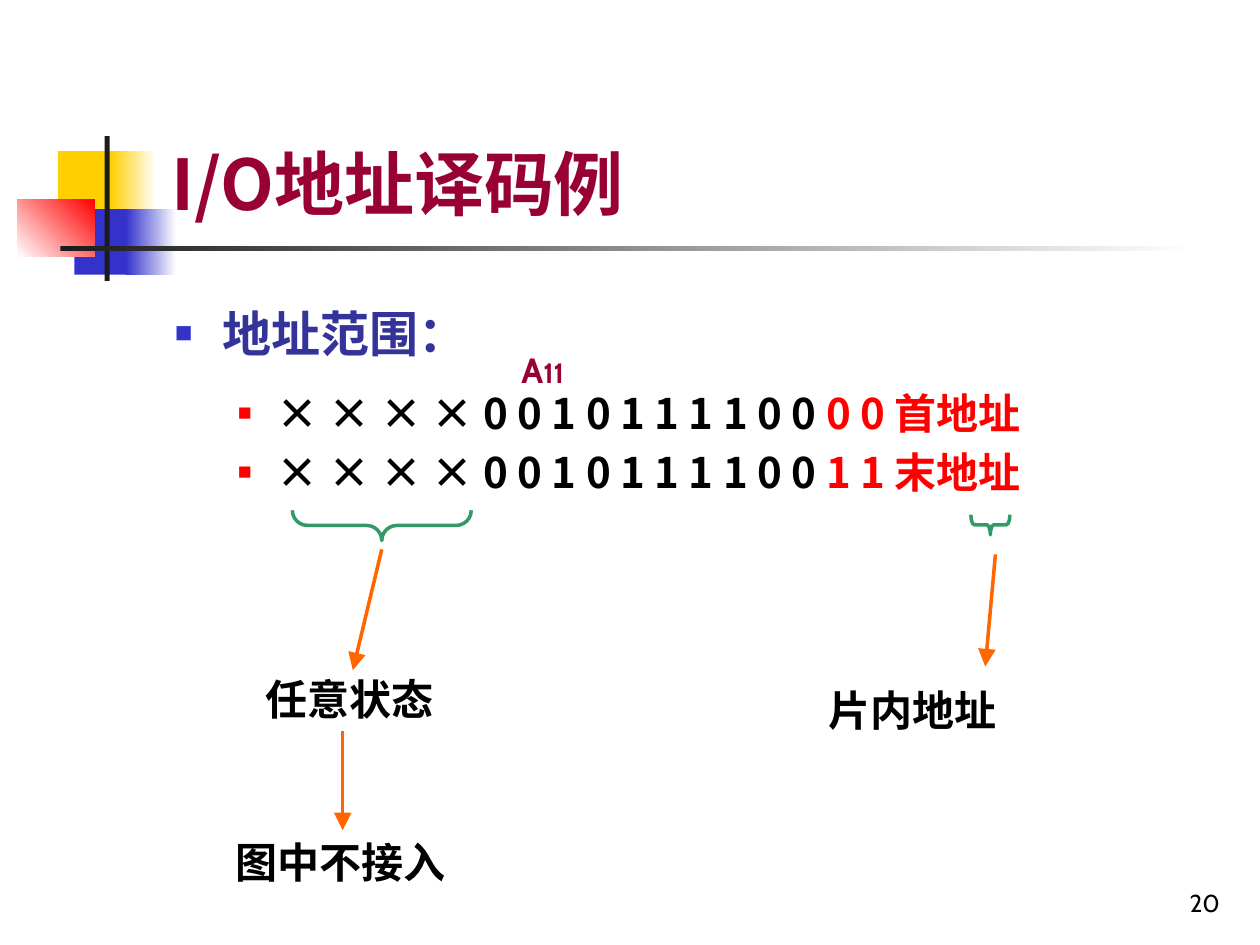
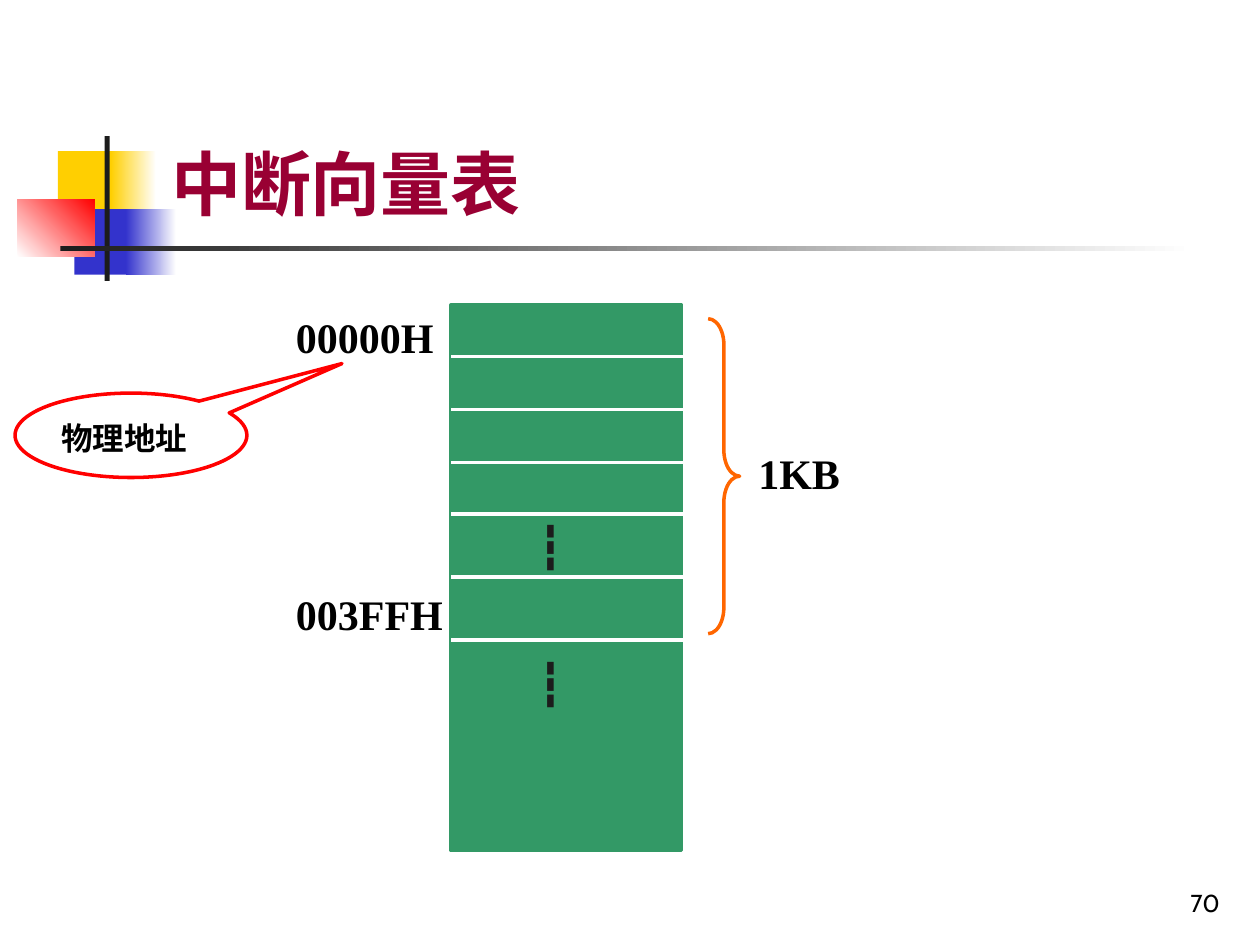
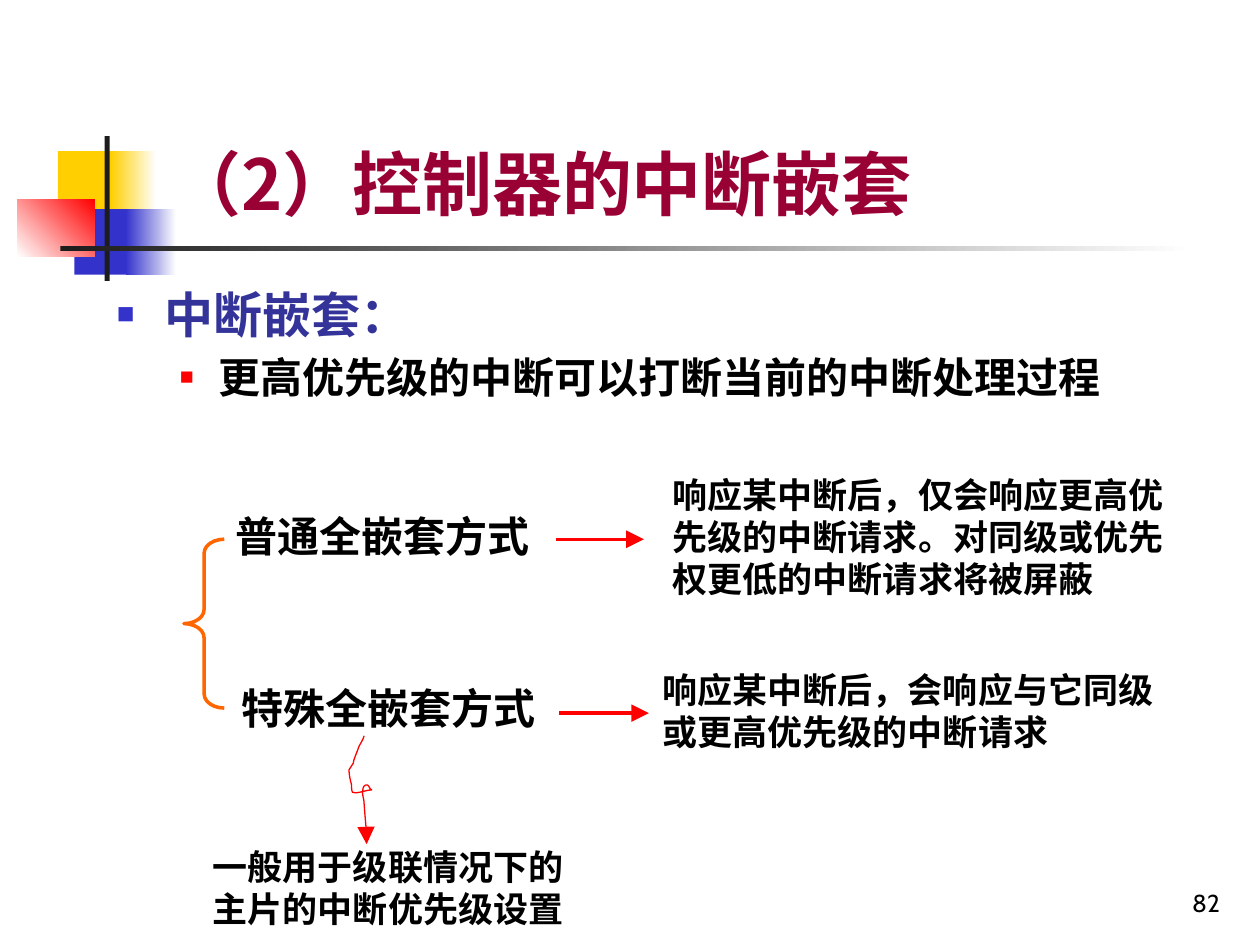
from itertools import accumulate
from typing import NamedTuple, Optional

from lxml import etree
from pptx import Presentation
from pptx.dml.color import RGBColor
from pptx.enum.shapes import MSO_CONNECTOR, MSO_SHAPE
from pptx.enum.text import MSO_ANCHOR, PP_ALIGN
from pptx.oxml.ns import qn
from pptx.util import Inches, Pt

BLACK = RGBColor(0x00, 0x00, 0x00)
WHITE = RGBColor(0xFF, 0xFF, 0xFF)
CHARCOAL = RGBColor(0x1C, 0x1C, 0x1C)
YELLOW = RGBColor(0xFF, 0xCF, 0x01)
BLUE = RGBColor(0x33, 0x33, 0xCC)
NAVY = RGBColor(0x33, 0x33, 0x99)
RED = RGBColor(0xFF, 0x00, 0x00)
MAROON = RGBColor(0x99, 0x00, 0x33)
GREEN = RGBColor(0x33, 0x99, 0x66)
ORANGE = RGBColor(0xFF, 0x66, 0x00)

CJK = "Noto Sans CJK SC"
SERIF = "Times New Roman"
SANS = "Cabin"
LEADING = 1.2


class Block(NamedTuple):
    left: float
    top: float
    width: float
    height: float
    color: RGBColor
    fade_to: Optional[RGBColor] = None
    angle: int = 0


class Run(NamedTuple):
    text: str
    size: int = 24
    color: RGBColor = BLACK
    font: str = CJK
    bold: bool = True


class Bullet(NamedTuple):
    level: int
    color: RGBColor
    percent: int
    margin: float
    hanging: float


class Para(NamedTuple):
    runs: list[Run]
    bullet: Optional[Bullet] = None
    before: float = 0
    after: float = 0
    align: Optional[PP_ALIGN] = None
    leading: float = LEADING


class Label(NamedTuple):
    left: float
    top: float
    width: float
    height: float
    run: Run
    anchor: MSO_ANCHOR = MSO_ANCHOR.TOP


class Line(NamedTuple):
    x1: float
    y1: float
    x2: float
    y2: float
    color: RGBColor
    arrow: bool = True


class Brace(NamedTuple):
    kind: MSO_SHAPE
    left: float
    top: float
    width: float
    height: float
    curl: float
    color: RGBColor
    rotation: int = 0


ORNAMENT = [
    Block(0.46, 1.2, 0.48, 0.52, YELLOW),
    Block(0.88, 1.2, 0.36, 0.52, YELLOW, WHITE),
    Block(0.59, 1.66, 0.46, 0.52, BLUE),
    Block(1, 1.66, 0.4, 0.52, BLUE, WHITE),
    Block(0.14, 1.58, 0.61, 0.46, WHITE, RED, 45),
    Block(0.83, 1.08, 0.04, 1.15, CHARCOAL),
    Block(0.48, 1.95, 9, 0.04, CHARCOAL, WHITE),
]
TOPIC_BULLET = Bullet(0, BLUE, 60, 0.38, 0.38)
POINT_BULLET = Bullet(1, RED, 55, 0.81, 0.31)


def box(left: float, top: float, width: float, height: float) -> list[Inches]:
    return [Inches(side) for side in (left, top, width, height)]


def add_block(slide, block: Block):
    shape = slide.shapes.add_shape(MSO_SHAPE.RECTANGLE, *box(*block[:4]))
    shape.shadow.inherit = False
    shape.line.fill.background()
    if block.fade_to is None:
        shape.fill.solid()
        shape.fill.fore_color.rgb = block.color
    else:
        shape.fill.gradient()
        shape.fill.gradient_angle = block.angle
        for stop, color in zip(shape.fill.gradient_stops, (block.color, block.fade_to)):
            stop.color.rgb = color
    return shape


def add_outline(shape, color: RGBColor, width: float = 2) -> None:
    """Leave the shape unfilled with a plain coloured outline."""
    shape.shadow.inherit = False
    shape.fill.background()
    shape.line.color.rgb = color
    shape.line.width = Pt(width)


def add_arrowhead(shape) -> None:
    outline = shape.element.spPr.find(qn("a:ln"))
    etree.SubElement(outline, qn("a:tailEnd"), type="triangle", w="lg", len="lg")


def add_bullet(paragraph, bullet: Bullet) -> None:
    paragraph.level = bullet.level
    props = paragraph._p.get_or_add_pPr()
    props.set("marL", str(Inches(bullet.margin)))
    props.set("indent", str(-Inches(bullet.hanging)))
    color = etree.SubElement(props, qn("a:buClr"))
    etree.SubElement(color, qn("a:srgbClr"), val=str(bullet.color))
    etree.SubElement(props, qn("a:buSzPct"), val=str(bullet.percent * 1000))
    etree.SubElement(props, qn("a:buFont"), typeface=SERIF)
    etree.SubElement(props, qn("a:buChar"), char="■")


def add_run(paragraph, content: Run) -> None:
    run = paragraph.add_run()
    run.text = content.text
    run.font.size = Pt(content.size)
    run.font.bold = content.bold
    run.font.color.rgb = content.color
    run.font.name = content.font
    latin = run._r.rPr.find(qn("a:latin"))
    east_asian = etree.Element(qn("a:ea"), typeface=content.font)
    latin.addnext(east_asian)


def fill_text(frame, paras: list[Para]) -> None:
    frame.word_wrap = True
    for index, para in enumerate(paras):
        paragraph = frame.paragraphs[0] if index == 0 else frame.add_paragraph()
        if para.bullet:
            add_bullet(paragraph, para.bullet)
        if para.align is not None:
            paragraph.alignment = para.align
        if para.runs[0].font == CJK:
            paragraph.line_spacing = Pt(para.leading * para.runs[0].size)
        if para.before:
            paragraph.space_before = Pt(para.before)
        if para.after:
            paragraph.space_after = Pt(para.after)
        for run in para.runs:
            add_run(paragraph, run)


def add_text(slide, left: float, top: float, width: float, height: float,
             paras: list[Para], anchor: MSO_ANCHOR = MSO_ANCHOR.TOP) -> None:
    frame = slide.shapes.add_textbox(*box(left, top, width, height)).text_frame
    frame.vertical_anchor = anchor
    fill_text(frame, paras)


def add_labels(slide, labels: list[Label]) -> None:
    for label in labels:
        add_text(slide, *label[:4], [Para([label.run])], label.anchor)


def add_lines(slide, lines: list[Line]) -> None:
    for line in lines:
        ends = box(line.x1, line.y1, line.x2, line.y2)
        connector = slide.shapes.add_connector(MSO_CONNECTOR.STRAIGHT, *ends)
        connector.line.color.rgb = line.color
        connector.line.width = Pt(2)
        if line.arrow:
            add_arrowhead(connector)
        etree.SubElement(connector.element.spPr, qn("a:effectLst"))


def add_brace(slide, brace: Brace) -> None:
    shape = slide.shapes.add_shape(
        brace.kind, *box(brace.left, brace.top, brace.width, brace.height))
    shape.adjustments[0] = brace.curl
    shape.adjustments[1] = 0.5
    shape.rotation = brace.rotation
    add_outline(shape, brace.color)


def curve_points(start: tuple, curves: list[tuple], steps: int = 8) -> list[tuple]:
    """Sample a chain of cubic Bezier curves, each given as x1, y1, x2, y2, x3, y3."""
    points = [start]
    for x1, y1, x2, y2, x3, y3 in curves:
        x0, y0 = points[-1]
        for step in range(1, steps + 1):
            t = step / steps
            weights = ((1 - t) ** 3, 3 * t * (1 - t) ** 2, 3 * t * t * (1 - t), t ** 3)
            points.append((
                sum(w * x for w, x in zip(weights, (x0, x1, x2, x3))),
                sum(w * y for w, y in zip(weights, (y0, y1, y2, y3))),
            ))
    return points


def new_slide(deck, title: str, number: int):
    slide = deck.slides.add_slide(deck.slide_layouts[6])
    for block in ORNAMENT:
        add_block(slide, block)
    add_text(slide, 1.26, 0.23, 8.52, 1.6,
             [Para([Run(title, 40, MAROON)])], MSO_ANCHOR.BOTTOM)
    page = Run(str(number), 14, BLACK, SANS, False)
    add_text(slide, 7.7, 6.83, 2.08, 0.5,
             [Para([page], align=PP_ALIGN.RIGHT)], MSO_ANCHOR.BOTTOM)
    return slide


def topic(text: str, after: float = 0) -> Para:
    return Para([Run(text, 28, NAVY)], TOPIC_BULLET, after=after)


def point(*runs: Run) -> Para:
    return Para(list(runs), POINT_BULLET, before=4.8)


def build_address_decoding(deck) -> None:
    slide = new_slide(deck, "I/O地址译码例", 20)
    shared_bits = Run("× × × × 0 0 1 0 1 1 1 1 0 0 ")
    addresses = [point(shared_bits, Run(ending, color=RED))
                 for ending in ("0 0 首地址", "1 1 末地址")]
    add_text(slide, 1.29, 2.36, 8.5, 1.94, [topic("地址范围：", after=9.8), *addresses])
    add_text(slide, 4.04, 2.72, 0.71, 0.43,
             [Para([Run("A", 20, MAROON, SANS), Run("11", 16, MAROON, SANS)])])
    add_brace(slide, Brace(MSO_SHAPE.LEFT_BRACE, 2.91, 3.46, 0.24, 1.42, 0.5, GREEN, 270))
    add_brace(slide, Brace(MSO_SHAPE.LEFT_BRACE, 7.78, 4.01, 0.16, 0.31, 0.17, GREEN, 270))
    add_lines(slide, [
        Line(3.03, 4.36, 2.8, 5.32, ORANGE),
        Line(7.9, 4.4, 7.82, 5.29, ORANGE),
        Line(2.72, 5.8, 2.72, 6.59, ORANGE),
    ])
    add_labels(slide, [
        Label(2.01, 5.3, 1.65, 0.5, Run("任意状态")),
        Label(6.48, 5.38, 1.65, 0.5, Run("片内地址")),
        Label(1.77, 6.59, 2.2, 0.5, Run("图中不接入")),
    ])


def build_vector_table(deck) -> None:
    slide = new_slide(deck, "中断向量表", 70)
    memory = add_block(slide, Block(3.58, 2.42, 1.83, 4.33, GREEN))
    memory.line.color.rgb = GREEN
    memory.line.width = Pt(2)
    row_edges = accumulate([2.83, 0.42, 0.42, 0.41, 0.5, 0.5])
    add_lines(slide, [Line(3.58, y, 5.42, y, WHITE, arrow=False) for y in row_edges])
    ellipsis = Run("┇", color=CHARCOAL, font=SERIF)
    add_labels(slide, [
        Label(4.17, 4.08, 0.58, 0.5, ellipsis),
        Label(4.17, 5.17, 0.58, 0.5, ellipsis),
        Label(2.25, 2.42, 1.5, 0.5, Run("00000H", font=SERIF)),
        Label(2.25, 4.62, 1.5, 0.5, Run("003FFH", font=SERIF)),
        Label(5.92, 3.5, 1.5, 0.5, Run("1KB", font=SERIF)),
    ])
    add_brace(slide, Brace(MSO_SHAPE.RIGHT_BRACE, 5.62, 2.53, 0.25, 2.5, 0.83, ORANGE))

    callout = slide.shapes.add_shape(MSO_SHAPE.OVAL_CALLOUT, *box(0.12, 3.12, 1.84, 0.67))
    callout.adjustments[0] = 0.91
    callout.adjustments[1] = -0.85
    add_outline(callout, RED)
    callout.text_frame.vertical_anchor = MSO_ANCHOR.TOP
    fill_text(callout.text_frame,
              [Para([Run("物理地址", 18)], align=PP_ALIGN.LEFT, leading=1.44)])


def build_interrupt_nesting(deck) -> None:
    slide = new_slide(deck, "（2）控制器的中断嵌套", 82)
    add_text(slide, 0.83, 2.21, 8.97, 1.39, [
        topic("中断嵌套："),
        point(Run("更高优先级的中断可以打断当前的中断处理过程")),
    ])
    add_labels(slide, [
        Label(1.77, 4.02, 2.78, 0.48, Run("普通全嵌套方式"), MSO_ANCHOR.BOTTOM),
        Label(5.24, 3.71, 4.25, 1.11,
              Run("响应某中断后，仅会响应更高优先级的中断请求。对同级或优先权更低的中断请求将被屏蔽", 20)),
        Label(1.82, 5.37, 2.73, 0.5, Run("特殊全嵌套方式"), MSO_ANCHOR.MIDDLE),
        Label(5.16, 5.26, 4.25, 0.77,
              Run("响应某中断后，会响应与它同级或更高优先级的中断请求", 20)),
        Label(1.59, 6.66, 3.09, 0.77,
              Run("一般用于级联情况下的主片的中断优先级设置", 20)),
    ])
    add_brace(slide, Brace(MSO_SHAPE.LEFT_BRACE, 1.46, 4.28, 0.32, 1.34, 0.35, ORANGE))
    add_lines(slide, [
        Line(4.41, 4.28, 5.11, 4.28, RED),
        Line(4.44, 5.66, 5.15, 5.66, RED),
    ])
    squiggle = curve_points((2.89, 5.84), [
        (2.88, 5.88, 2.85, 5.91, 2.84, 5.95),
        (2.77, 6.12, 2.84, 6, 2.77, 6.11),
        (2.77, 6.15, 2.78, 6.19, 2.79, 6.23),
        (2.79, 6.25, 2.79, 6.28, 2.8, 6.29),
        (2.85, 6.3, 2.9, 6.27, 2.95, 6.27),
        (2.93, 6.26, 2.93, 6.23, 2.91, 6.23),
        (2.89, 6.23, 2.88, 6.25, 2.88, 6.27),
        (2.87, 6.3, 2.89, 6.34, 2.89, 6.38),
        (2.91, 6.66, 2.91, 6.55, 2.91, 6.7),
    ])
    start, *rest = [(Inches(x), Inches(y)) for x, y in squiggle]
    builder = slide.shapes.build_freeform(*start)
    builder.add_line_segments(rest, close=False)
    pointer = builder.convert_to_shape()
    add_outline(pointer, RED, 0.75)
    add_arrowhead(pointer)


def main() -> None:
    deck = Presentation()
    deck.slide_width, deck.slide_height = Inches(10), Inches(7.5)
    build_address_decoding(deck)
    build_vector_table(deck)
    build_interrupt_nesting(deck)
    deck.save("out.pptx")


if __name__ == "__main__":
    main()
